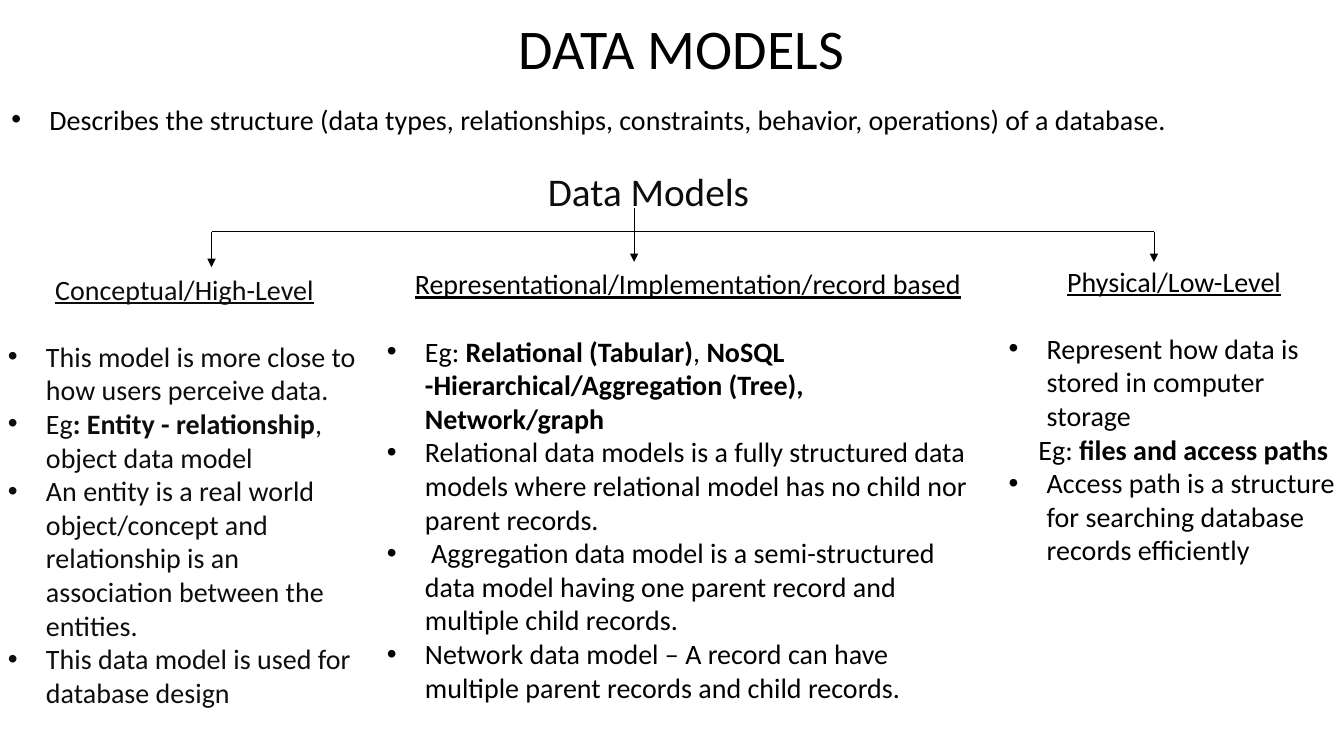
from lxml import etree
from pptx import Presentation
from pptx.dml.color import RGBColor
from pptx.enum.shapes import MSO_CONNECTOR
from pptx.enum.text import MSO_ANCHOR, MSO_AUTO_SIZE, PP_ALIGN
from pptx.oxml.ns import qn
from pptx.util import Cm, Pt

STRAIGHT = MSO_CONNECTOR.STRAIGHT
BOTTOM, TOP = MSO_ANCHOR.BOTTOM, MSO_ANCHOR.TOP
GROW, FIXED = MSO_AUTO_SIZE.SHAPE_TO_FIT_TEXT, MSO_AUTO_SIZE.NONE
CENTER, LEFT = PP_ALIGN.CENTER, PP_ALIGN.LEFT
FONT, BLACK, DARK = "Calibri", "000000", "0D0D0D"
HANG = Cm(0.96)

# Box (left, top, width, height in cm), colour, heading, items.
# Double asterisks enclose bold words.
COLUMNS = [
    ((-0.05, 6.73, 9.4, 13.08), DARK, "Conceptual/High-Level", [
        "This model is more close to how users perceive data.",
        "Eg**: Entity - relationship**, object data model",
        "An entity is a real world object/concept and relationship is an "
        "association between the entities.",
        "This data model is used for database design",
    ]),
    ((9.5, 6.6, 15.67, 10.52), BLACK,
     "Representational/Implementation/record based", [
        "Eg: **Relational (Tabular)**, **NoSQL\v"
        "-Hierarchical/Aggregation (Tree),\vNetwork/graph**",
        "Relational data models is a fully structured data models where "
        "relational model has no child nor parent records.",
        " Aggregation data model is a semi-structured data model having one "
        "parent record and multiple child records.",
        "Network data model – A record can have multiple parent records and "
        "child records.",
     ]),
    ((25.17, 6.53, 8.84, 7.95), BLACK, "Physical/Low-Level", [
        "Represent how data is stored in computer storage",
        "Eg: **files and access paths**",
        "Access path is a structure for searching database records "
        "efficiently",
    ]),
]
UNBULLETED = "Eg: **files and access paths**"


def rgb(color):
    return RGBColor.from_string(color)


def place(shape, box):
    shape.left, shape.top, shape.width, shape.height = map(Cm, box)


def write(p, text, size, color, align=LEFT):
    """Fill a paragraph, turning **words** bold and \\v into line breaks."""
    p.alignment = align
    for i, part in enumerate(text.split("**")):
        for j, line in enumerate(part.split("\v")):
            if j:
                p.add_line_break()
            if line:
                r = p.add_run()
                r.text = line
                r.font.bold = i % 2 == 1
    for r in p.runs:
        r.font.name, r.font.size = FONT, Pt(size)
        r.font.color.rgb = rgb(color)


def indent(p, margin, first=0):
    pPr = p._p.get_or_add_pPr()
    pPr.set("marL", str(margin))
    pPr.set("indent", str(first))
    return pPr


def add_bullet(p):
    pPr = indent(p, HANG, -HANG)
    etree.SubElement(pPr, qn("a:buFont")).set("typeface", "Arial")
    etree.SubElement(pPr, qn("a:buChar")).set("char", "•")


def fill_placeholder(sp, box, text, size, align, anchor):
    place(sp, box)
    tf = sp.text_frame
    tf.auto_size, tf.vertical_anchor = FIXED, anchor
    p = tf.paragraphs[0]
    write(p, text, size, BLACK, align)
    p.line_spacing = 0.9
    return p


def add_text(s, box):
    tf = s.shapes.add_textbox(*map(Cm, box)).text_frame
    tf.word_wrap, tf.auto_size = True, GROW
    return tf


def add_column(s, box, color, heading, items):
    tf = add_text(s, box)
    p = tf.paragraphs[0]
    write(p, heading, 20, color, CENTER)
    p.runs[0].font.underline = True
    p.space_after = Pt(24)
    for item in items:
        p = tf.add_paragraph()
        write(p, item, 20, color)
        if item == UNBULLETED:
            indent(p, Cm(0.75))
        else:
            add_bullet(p)


def add_line(group, x1, y1, x2, y2, arrow=False):
    line = group.shapes.add_connector(STRAIGHT, *map(Cm, (x1, y1, x2, y2)))
    line.line.color.rgb = rgb(BLACK)
    line.line.width = Pt(0.5)
    if arrow:
        ln = line.line._get_or_add_ln()
        etree.SubElement(ln, qn("a:tailEnd")).set("type", "triangle")
    etree.SubElement(line._element.spPr, qn("a:effectLst"))


def add_tree(s):
    bar, left, middle, right = 5.84, 5.33, 15.98, 29.08
    group = s.shapes.add_group_shape()
    add_line(group, left, bar, right, bar)
    add_line(group, middle, bar, middle, 5.23)
    for x, tip in ((left, 6.73), (middle, 6.6), (right, 6.6)):
        add_line(group, x, bar, x, tip, arrow=True)


def main():
    prs = Presentation()
    prs.slide_width, prs.slide_height = Cm(33.87), Cm(19.05)
    s = prs.slides.add_slide(prs.slide_layouts[0])
    title, subtitle = s.placeholders
    fill_placeholder(title, (0.25, 0.1, 33.83, 2.08), "DATA MODELS", 40,
                     CENTER, BOTTOM)
    p = fill_placeholder(
        subtitle, (0.03, 2.54, 33.83, 1.73),
        "Describes the structure (data types, relationships, constraints, "
        "behavior, operations) of a database.", 20, LEFT, TOP)
    p.space_before = Pt(10)
    add_bullet(p)

    root = add_text(s, (13.56, 4.09, 6.86, 1.45))
    write(root.paragraphs[0], "Data Models", 28, DARK)
    for column in COLUMNS:
        add_column(s, *column)
    add_tree(s)
    prs.save("out.pptx")


if __name__ == "__main__":
    main()
